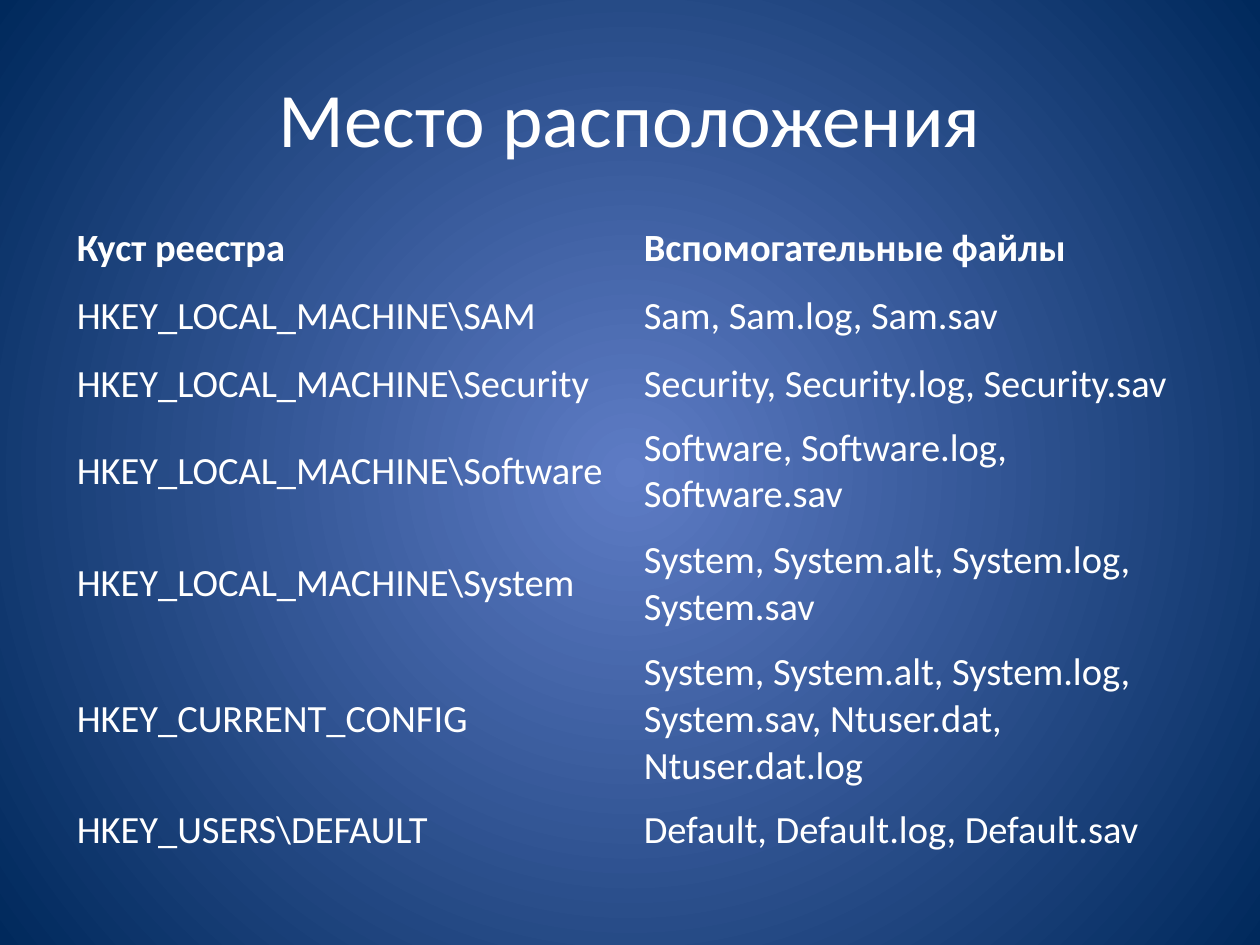
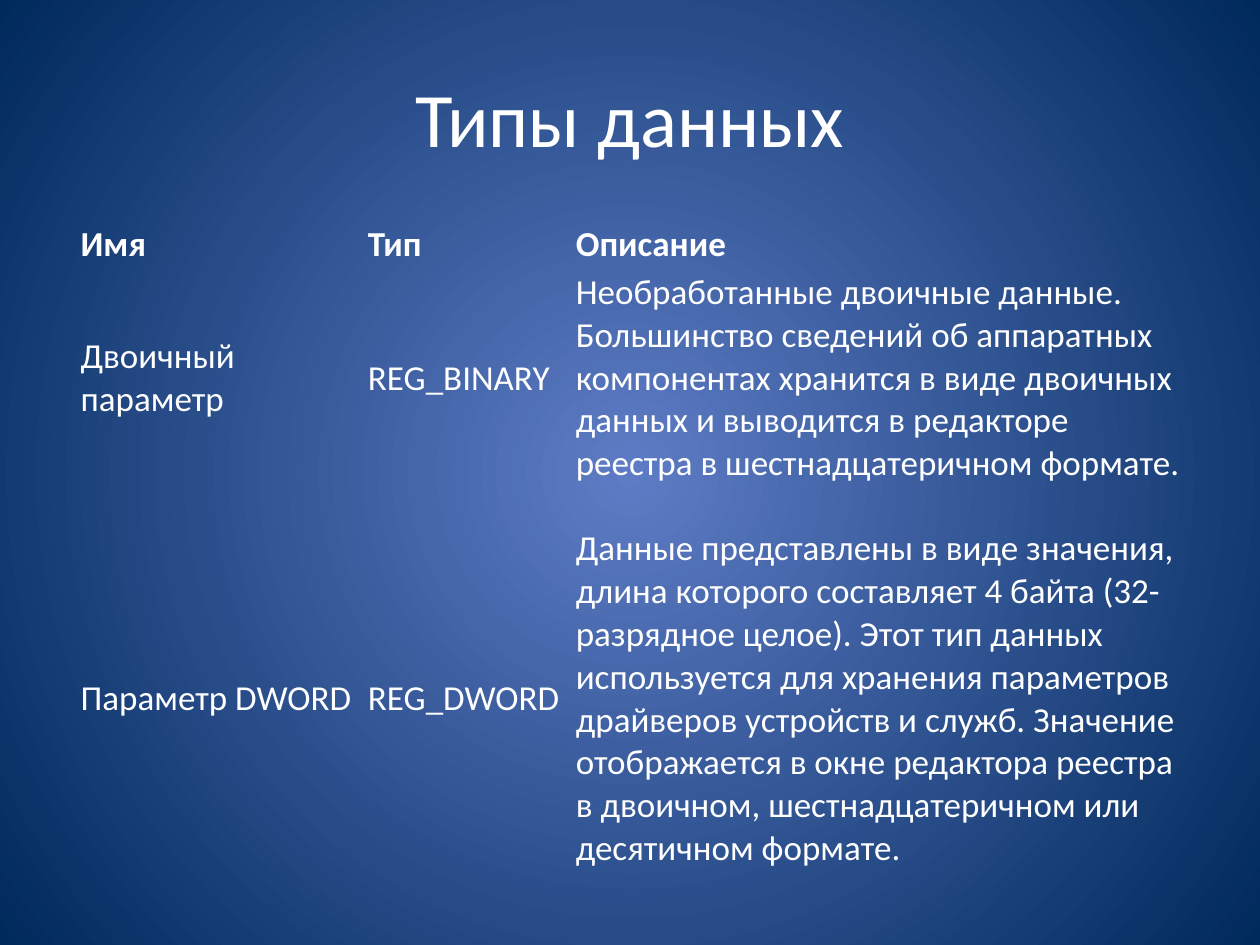
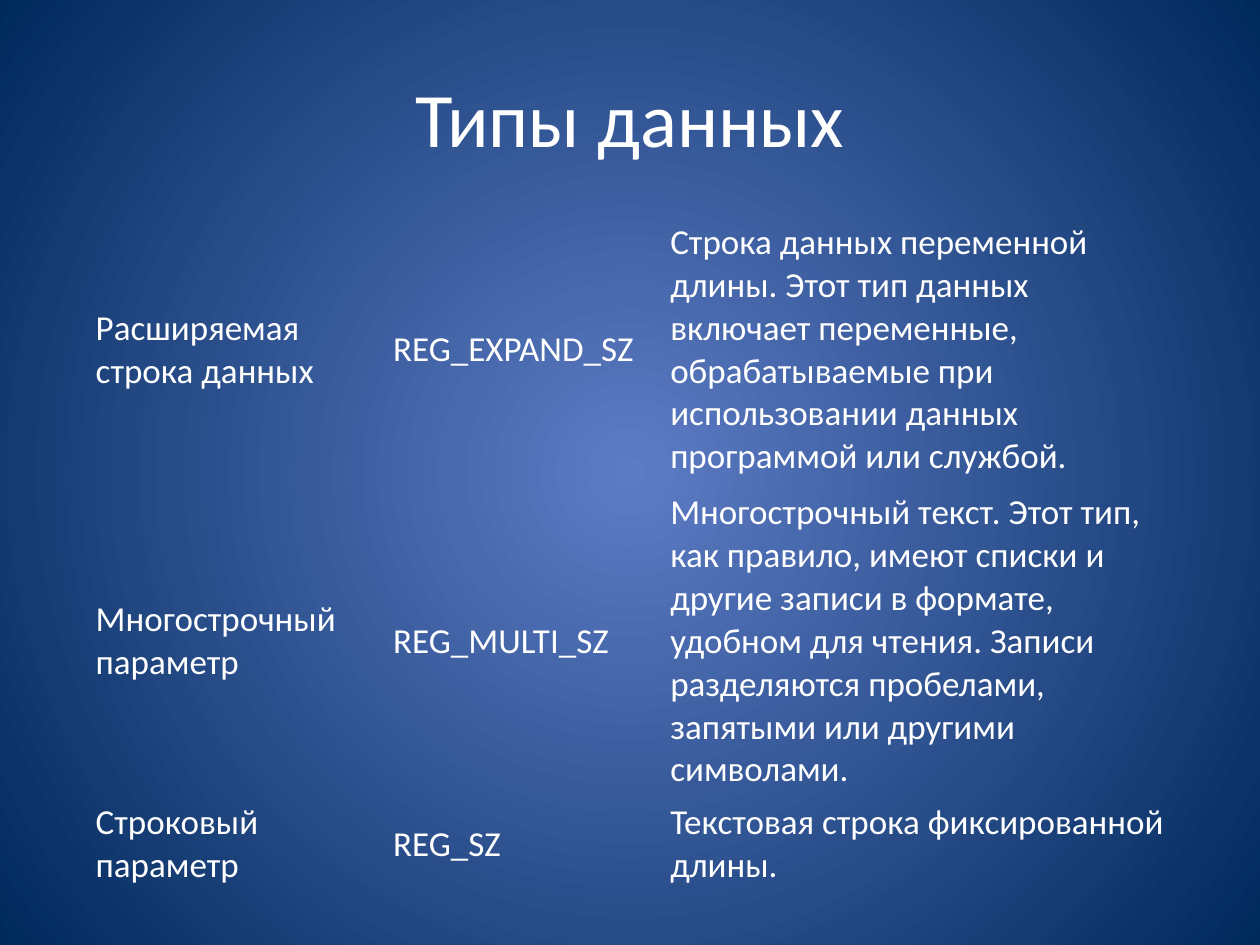
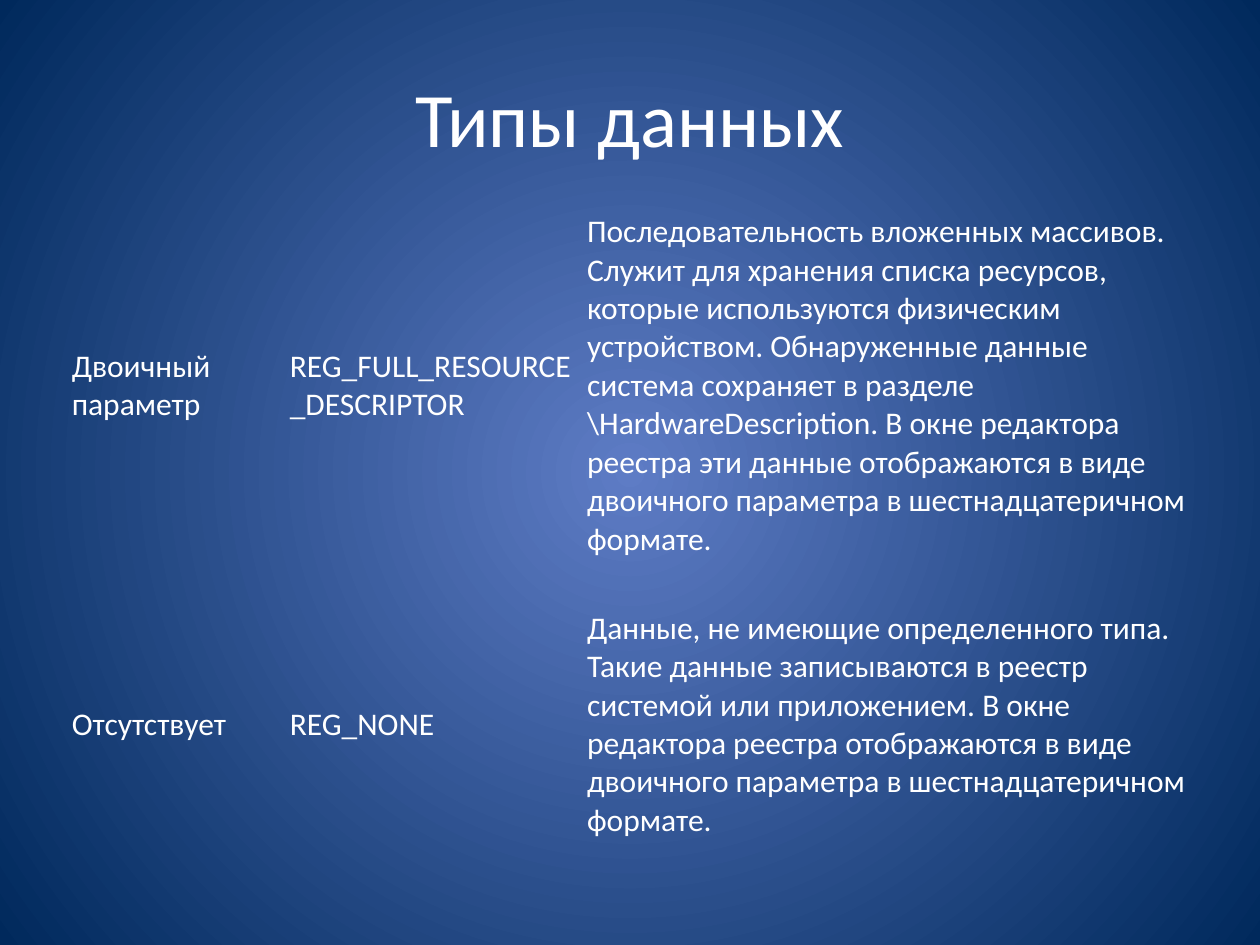
from dataclasses import dataclass

from lxml.etree import SubElement
from pptx import Presentation
from pptx.dml.color import RGBColor
from pptx.enum.text import MSO_ANCHOR, PP_ALIGN
from pptx.oxml.ns import qn
from pptx.util import Inches, Pt

# Shared look
WHITE = RGBColor(0xFF, 0xFF, 0xFF)
GLOW_BLUE = RGBColor(0x5E, 0x7C, 0xC5)
DEEP_BLUE = RGBColor(0x00, 0x29, 0x5C)
FONT = "Calibri"
TITLE_SIZE = 44
TITLE_BOX = (0.5, 0.3, 9, 1.25)
PLAIN_TABLE_STYLE = "{2D5ABB26-0587-4C30-8999-92F81FD0307C}"
TITLE_ONLY_LAYOUT = 5


@dataclass
class TableSlide:
    title: str
    box: tuple       # left, top, width, height
    columns: tuple
    row_heights: tuple
    inset: tuple     # horizontal, vertical
    size: int
    has_header: bool
    rows: list


# Content
SLIDES = [
    TableSlide(
        "Место расположения", (0.51, 1.7, 9, 5.12), (4.5, 4.5),
        (0.54, 0.54, 0.54, 0.54, 0.94, 0.94, 0.54), (0.1, 0.05), 22, True,
        [
            ("Куст реестра", "Вспомогательные файлы"),
            (r"HKEY_LOCAL_MACHINE\SAM", "Sam, Sam.log, Sam.sav"),
            (r"HKEY_LOCAL_MACHINE\Security", "Security, Security.log, Security.sav"),
            (r"HKEY_LOCAL_MACHINE\Software", "Software, Software.log, Software.sav"),
            (r"HKEY_LOCAL_MACHINE\System", "System, System.alt, System.log, System.sav"),
            ("HKEY_CURRENT_CONFIG",
             "System, System.alt, System.log, System.sav, Ntuser.dat, Ntuser.dat.log"),
            (r"HKEY_USERS\DEFAULT", "Default, Default.log, Default.sav"),
        ]),
    TableSlide(
        "Типы данных", (0.59, 1.75, 8.9, 5.44), (2.28, 1.65, 4.96),
        (0.18, 1.42, 3.35), (0.05, 0.02), 20, True,
        [
            ("Имя", "Тип", "Описание"),
            ("Двоичный параметр", "REG_BINARY",
             "Необработанные двоичные данные. Большинство сведений об аппаратных "
             "компонентах хранится в виде двоичных данных и выводится в редакторе "
             "реестра в шестнадцатеричном формате."),
            ("Параметр DWORD", "REG_DWORD",
             "Данные представлены в виде значения, длина которого составляет 4 байта "
             "(32-разрядное целое). Этот тип данных используется для хранения "
             "параметров драйверов устройств и служб. Значение отображается в окне "
             "редактора реестра в двоичном, шестнадцатеричном или десятичном формате."),
        ]),
    TableSlide(
        "Типы данных", (0.67, 1.69, 8.66, 5.34), (2.36, 2.2, 4.1),
        (2.17, 2.17, 0.61), (0.09, 0.04), 20, False,
        [
            ("Расширяемая строка данных", "REG_EXPAND_SZ",
             "Строка данных переменной длины. Этот тип данных включает переменные, "
             "обрабатываемые при использовании данных программой или службой."),
            ("Многострочный параметр", "REG_MULTI_SZ",
             "Многострочный текст. Этот тип, как правило, имеют списки и другие записи "
             "в формате, удобном для чтения. Записи разделяются пробелами, запятыми "
             "или другими символами."),
            ("Строковый параметр", "REG_SZ", "Текстовая строка фиксированной длины."),
        ]),
    TableSlide(
        "Типы данных", (0.51, 1.6, 8.98, 5.38), (1.73, 2.36, 4.88),
        (2.92, 2.46), (0.06, 0.03), 18, False,
        [
            ("Двоичный параметр", "REG_FULL_RESOURCE_DESCRIPTOR",
             "Последовательность вложенных массивов. Служит для хранения списка "
             "ресурсов, которые используются физическим устройством. Обнаруженные "
             r"данные система сохраняет в разделе \HardwareDescription. В окне "
             "редактора реестра эти данные отображаются в виде двоичного параметра "
             "в шестнадцатеричном формате."),
            ("Отсутствует", "REG_NONE",
             "Данные, не имеющие определенного типа. Такие данные записываются в "
             "реестр системой или приложением. В окне редактора реестра отображаются "
             "в виде двоичного параметра в шестнадцатеричном формате."),
        ]),
]


def apply_format(target, values):
    for name, value in values.items():
        setattr(target, name, value)


def place(shape, box):
    apply_format(shape, dict(zip(("left", "top", "width", "height"), map(Inches, box))))


def format_font(font, size, bold=False):
    apply_format(font, {"name": FONT, "size": Pt(size), "bold": bold})
    font.color.rgb = WHITE


def paint_background(master):
    """Radial glow from the middle, inherited by every slide."""
    fill = master.background.fill
    fill.gradient()
    for stop, color in zip(fill.gradient_stops, (GLOW_BLUE, DEEP_BLUE)):
        stop.color.rgb = color
    gradient = master.element.find(".//" + qn("a:gradFill"))
    gradient.remove(gradient.find(qn("a:lin")))
    glow = SubElement(gradient, qn("a:path"), path="circle")
    SubElement(glow, qn("a:fillToRect"), {side: "50000" for side in "ltrb"})


def add_title(slide, wording, box):
    title = slide.shapes.title
    place(title, box)
    title.text_frame.text = wording
    title.text_frame.vertical_anchor = MSO_ANCHOR.MIDDLE
    heading = title.text_frame.paragraphs[0]
    heading.alignment = PP_ALIGN.CENTER
    format_font(heading.runs[0].font, TITLE_SIZE)


def add_registry_table(slide, content, box):
    frame = slide.shapes.add_table(
        len(content.rows), len(content.columns), *map(Inches, box))
    table = frame.table
    apply_format(table, {"first_row": content.has_header, "horz_banding": False})
    frame.element.find(".//" + qn("a:tableStyleId")).text = PLAIN_TABLE_STYLE

    for column, width in zip(table.columns, content.columns):
        column.width = Inches(width)
    for row, height in zip(table.rows, content.row_heights):
        row.height = Inches(height)
    place(frame, box)

    side, edge = map(Inches, content.inset)
    cell_format = {
        "margin_left": side, "margin_right": side,
        "margin_top": edge, "margin_bottom": edge,
        "vertical_anchor": MSO_ANCHOR.MIDDLE,
    }
    for row_number, wordings in enumerate(content.rows):
        is_header = content.has_header and row_number == 0
        for cell, wording in zip(table.rows[row_number].cells, wordings):
            cell.text = wording
            cell.fill.background()
            apply_format(cell, cell_format)
            format_font(cell.text_frame.paragraphs[0].runs[0].font,
                        content.size, is_header)


def main():
    deck = Presentation()
    apply_format(deck, {"slide_width": Inches(10), "slide_height": Inches(7.5)})
    paint_background(deck.slide_master)
    for content in SLIDES:
        slide = deck.slides.add_slide(deck.slide_layouts[TITLE_ONLY_LAYOUT])
        add_title(slide, content.title, TITLE_BOX)
        add_registry_table(slide, content, content.box)
    deck.save("out.pptx")


if __name__ == "__main__":
    main()
